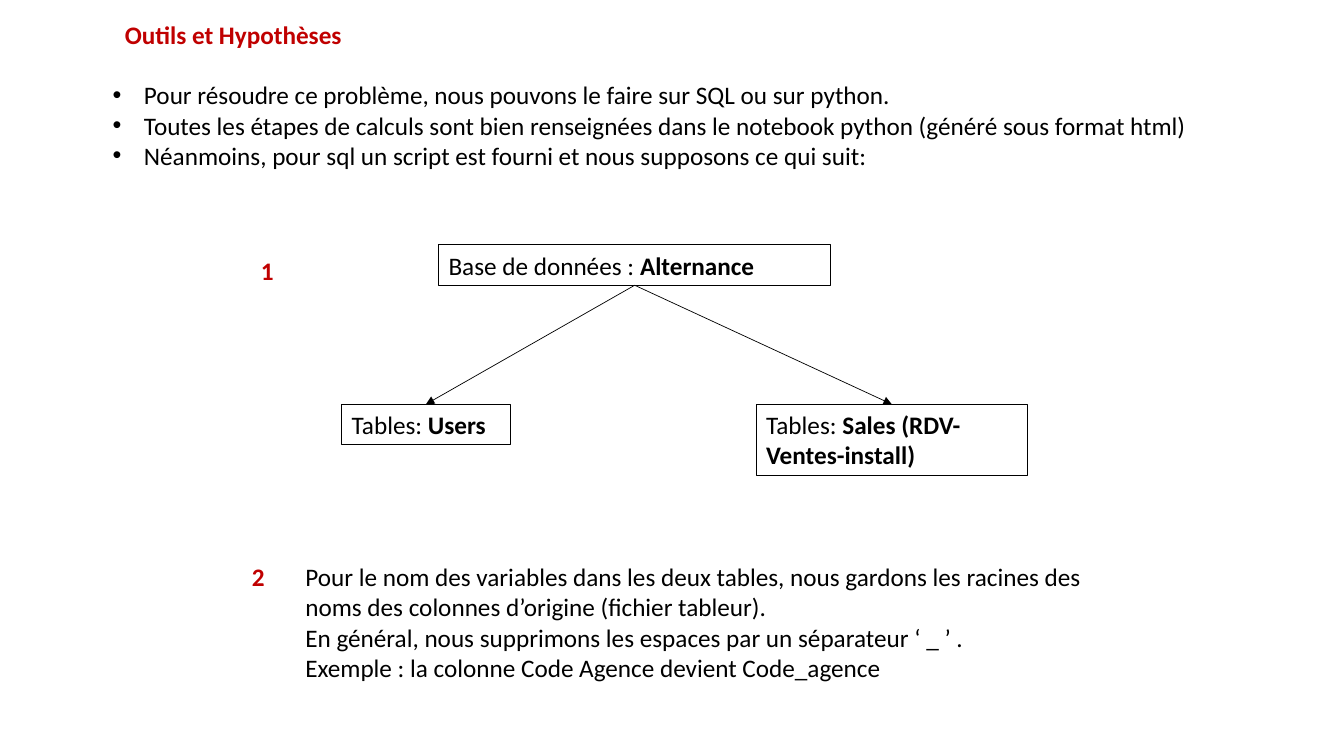
from lxml import etree
from pptx import Presentation
from pptx.dml.color import RGBColor
from pptx.enum.shapes import MSO_CONNECTOR as Connector, MSO_SHAPE as Shape
from pptx.enum.text import MSO_ANCHOR as Anchor, PP_ALIGN as Align
from pptx.oxml.ns import qn
from pptx.util import Inches, Pt

BLACK = RGBColor(0x00, 0x00, 0x00)
RED = RGBColor(0xC0, 0x00, 0x00)
BODY = {"name": "Calibri", "size": Pt(18), "bold": False}
STRONG = {**BODY, "bold": True}
BOTTOM, TOP = 2, 0
LINE_HEIGHT = 0.4
INDENT = Inches(0.31)

TOOLS = [
    "Pour résoudre ce problème, nous pouvons le faire sur SQL ou sur python.",
    "Toutes les étapes de calculs sont bien renseignées dans le notebook python "
    "(généré sous format html)",
    "Néanmoins, pour sql un script est fourni et nous supposons ce qui suit:",
]
NAMING_RULES = [
    "Pour le nom des variables dans les deux tables, nous gardons les racines des "
    "noms des colonnes d’origine (fichier tableur).",
    "En général, nous supprimons les espaces par un séparateur ‘ _ ’ .",
    "Exemple : la colonne Code Agence devient Code_agence",
]


def add_run(paragraph, text, style=BODY, color=BLACK):
    run = paragraph.add_run()
    run.text = text
    for attribute, value in style.items():
        setattr(run.font, attribute, value)
    run.font.color.rgb = color


def add_text(slide, box, lines, style=BODY, color=BLACK, anchor=Anchor.TOP):
    """Write one paragraph per line and return the paragraphs."""
    frame = slide.shapes.add_textbox(*map(Inches, box)).text_frame
    frame.word_wrap = True
    frame.vertical_anchor = anchor
    for index, line in enumerate(lines):
        paragraph = frame.add_paragraph() if index else frame.paragraphs[0]
        add_run(paragraph, line, style, color)
    return frame.paragraphs


def add_bullets(slide, box, lines):
    for paragraph in add_text(slide, box, lines):
        properties = paragraph._p.get_or_add_pPr()
        properties.set("marL", str(INDENT))
        properties.set("indent", str(-INDENT))
        etree.SubElement(properties, qn("a:buFont"), typeface="Arial")
        etree.SubElement(properties, qn("a:buChar"), char="•")


def add_node(slide, box, label, name):
    """Add an outlined box holding a label and a bold name."""
    node = slide.shapes.add_shape(Shape.RECTANGLE, *map(Inches, box))
    node.shadow.inherit = False
    node.fill.background()
    node.line.color.rgb = BLACK
    node.line.width = Pt(0.75)
    frame = node.text_frame
    frame.word_wrap = True
    frame.vertical_anchor = Anchor.TOP
    paragraph = frame.paragraphs[0]
    paragraph.alignment = Align.LEFT
    add_run(paragraph, label)
    add_run(paragraph, name, STRONG)
    return node


def add_arrow(slide, parent, child):
    arrow = slide.shapes.add_connector(Connector.STRAIGHT, 0, 0, 0, 0)
    arrow.begin_connect(parent, BOTTOM)
    arrow.end_connect(child, TOP)
    arrow.line.color.rgb = BLACK
    arrow.line.width = Pt(0.5)
    etree.SubElement(arrow.line._ln, qn("a:tailEnd"), type="triangle")
    etree.SubElement(arrow._element.spPr, qn("a:effectLst"))


def add_database_tree(slide, left, top):
    tables_top = top + 1.58
    database = add_node(slide, (left + 0.96, top, 3.89, LINE_HEIGHT),
                        "Base de données : ", "Alternance")
    users = add_node(slide, (left, tables_top, 1.67, LINE_HEIGHT), "Tables: ", "Users")
    sales = add_node(slide, (left + 4.11, tables_top, 2.69, 0.71),
                     "Tables: ", "Sales (RDV-Ventes-install)")
    for table in (users, sales):
        add_arrow(slide, database, table)


def add_step_number(slide, left, top, number):
    add_text(slide, (left, top, 0.3, LINE_HEIGHT), [number], STRONG, RED)


def add_tools_slide(deck):
    slide = deck.slides.add_slide(deck.slide_layouts[6])
    add_text(slide, (1.14, 0.14, 3, LINE_HEIGHT), ["Outils et Hypothèses"],
             STRONG, RED, Anchor.MIDDLE)
    add_bullets(slide, (1.02, 0.74, 11.3, 1.01), TOOLS)
    add_step_number(slide, 2.49, 2.48, "1")
    add_database_tree(slide, 3.39, 2.43)
    add_step_number(slide, 2.4, 5.52, "2")
    add_text(slide, (2.93, 5.52, 8.39, 1.31), NAMING_RULES)


def main():
    deck = Presentation()
    deck.slide_width, deck.slide_height = Inches(13.33), Inches(7.5)
    add_tools_slide(deck)
    deck.save("out.pptx")


if __name__ == "__main__":
    main()
